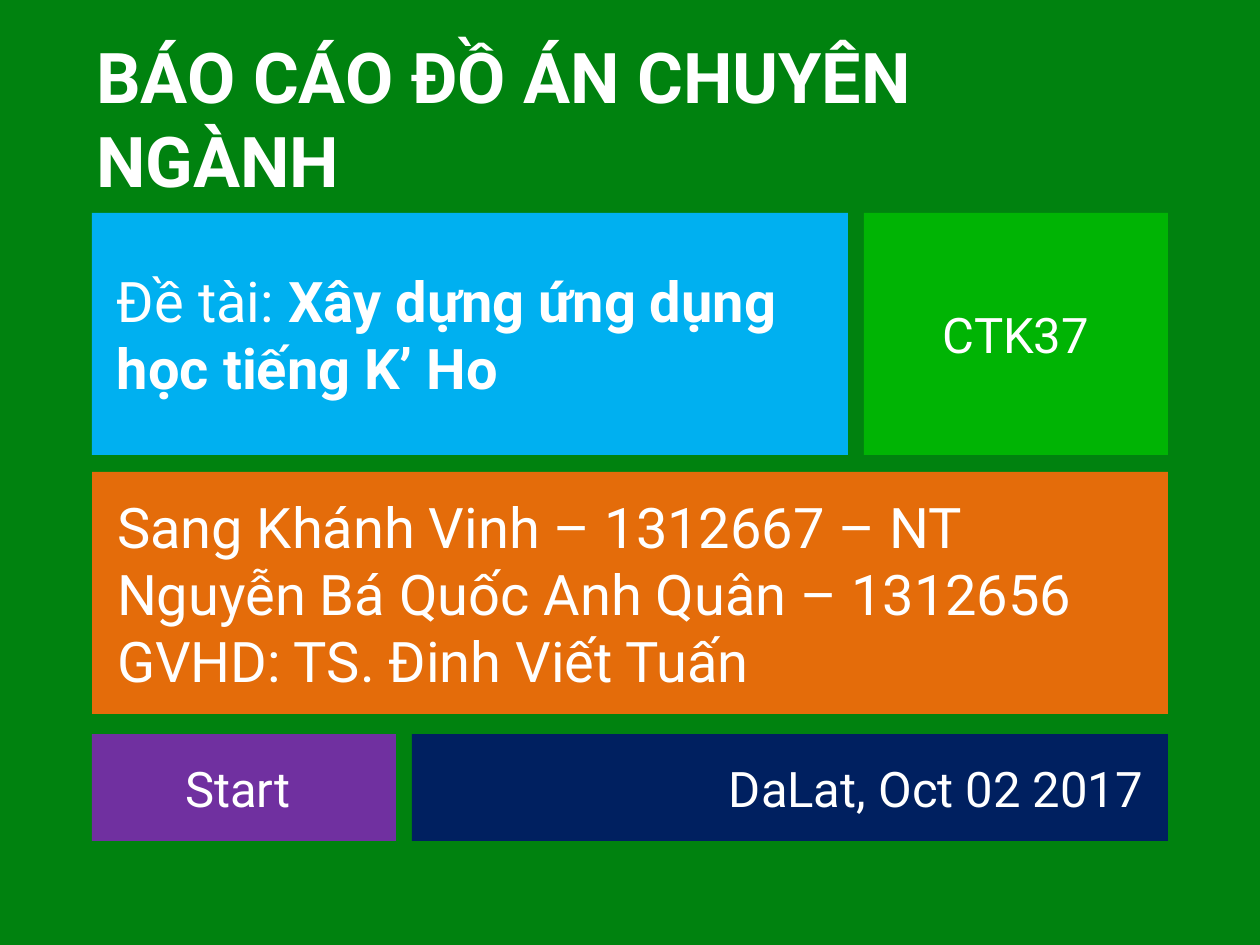
from dataclasses import dataclass

from pptx import Presentation
from pptx.dml.color import RGBColor
from pptx.enum.shapes import MSO_SHAPE
from pptx.enum.text import MSO_ANCHOR, PP_ALIGN
from pptx.util import Pt

RECT = MSO_SHAPE.RECTANGLE
MIDDLE = MSO_ANCHOR.MIDDLE
LEFT, CENTER, RIGHT = PP_ALIGN.LEFT, PP_ALIGN.CENTER, PP_ALIGN.RIGHT
SCALE = 914400 / 126


@dataclass(frozen=True)
class Theme:
    """Colours, font and type sizes of the slide."""
    font: str = "Roboto"
    back: str = "00820F"
    text: str = "FFFFFF"
    blue: str = "00B0F0"
    green: str = "00B404"
    orange: str = "E46C0A"
    purple: str = "7030A0"
    navy: str = "002060"
    title: int = 40
    large: int = 32
    small: int = 28


def emu(px):
    """Turn px into EMU."""
    return round(px * SCALE)


def paint(fill, color):
    """Give a fill one solid colour."""
    fill.solid()
    fill.fore_color.rgb = RGBColor.from_string(color)


class Board:
    """Draw titles and tiles on one slide in one style."""

    def __init__(self, slide, theme):
        """Keep the slide and theme, and paint the background."""
        self.slide, self.theme = slide, theme
        paint(slide.background.fill, theme.back)

    def label(self, frame, lines, size, align=LEFT):
        """Fill a frame with lines, each a list of (text, bold) parts."""
        frame.word_wrap = True
        frame.vertical_anchor = MIDDLE
        for i, parts in enumerate(lines):
            para = frame.add_paragraph() if i else frame.paragraphs[0]
            para.alignment = align
            for text, bold in parts:
                run = para.add_run()
                run.text = text
                run.font.name = self.theme.font
                run.font.size = Pt(size)
                run.font.bold = bold
                run.font.color.rgb = RGBColor.from_string(self.theme.text)

    def title(self, box, text):
        """Add the bold heading."""
        shape = self.slide.shapes.add_textbox(*map(emu, box))
        self.label(shape.text_frame, [[(text, True)]], self.theme.title)

    def tile(self, box, color, lines, size, align=LEFT):
        """Add a flat coloured tile with text."""
        shape = self.slide.shapes.add_shape(RECT, *map(emu, box))
        shape.shadow.inherit = False
        paint(shape.fill, color)
        shape.line.fill.background()
        frame = shape.text_frame
        frame.margin_left = frame.margin_right = emu(25)
        frame.margin_top = frame.margin_bottom = emu(25)
        self.label(frame, lines, size, align)


def main():
    """Build and save the slide."""
    deck = Presentation()
    deck.slide_width, deck.slide_height = emu(1260), emu(945)
    theme = Theme()
    board = Board(deck.slides.add_slide(deck.slide_layouts[6]), theme)

    left, wide, slim, gap = 92, 756, 304, 16
    full = wide + gap + slim
    tall, low = 242, 107
    top, mid, base = 213, 472, 734

    board.title((84, 38, 1092, 158), "BÁO CÁO ĐỒ ÁN CHUYÊN NGÀNH")
    board.tile((left, top, wide, tall), theme.blue,
               [[("Đề tài: ", False),
                 ("Xây dựng ứng dụng học tiếng K’ Ho", True)]], theme.large)
    board.tile((left + wide + gap, top, slim, tall), theme.green,
               [[("CTK37", False)]], theme.small, CENTER)
    team = ("Sang Khánh Vinh – 1312667 – NT",
            "Nguyễn Bá Quốc Anh Quân – 1312656",
            "GVHD: TS. Đinh Viết Tuấn")
    board.tile((left, mid, full, tall), theme.orange,
               [[(name, False)] for name in team], theme.large)
    board.tile((left, base, slim, low), theme.purple,
               [[("Start ", False)]], theme.small, CENTER)
    board.tile((left + slim + gap, base, wide, low), theme.navy,
               [[("DaLat, Oct 02 2017", False)]], theme.small, RIGHT)
    deck.save("out.pptx")


if __name__ == "__main__":
    main()
